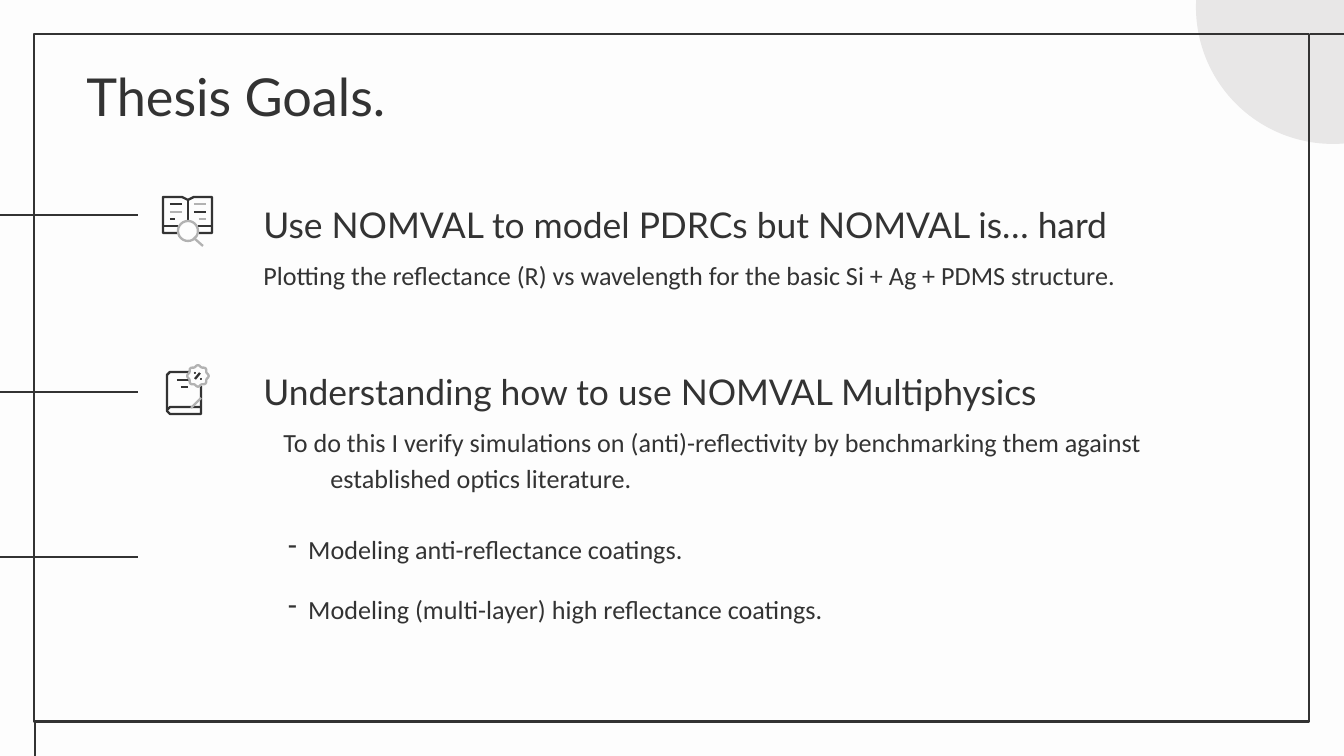
from math import cos, pi, sin

from lxml.etree import SubElement
from pptx import Presentation
from pptx.dml.color import RGBColor
from pptx.enum.shapes import MSO_CONNECTOR, MSO_SHAPE
from pptx.enum.text import MSO_ANCHOR, MSO_AUTO_SIZE, PP_ALIGN
from pptx.oxml.ns import qn
from pptx.util import Emu, Inches, Pt

EMU_PER_PX = Inches(10) / 1344
FINE = 10
INK, GREY, PALE, PAPER = "333333", "B2B2B2", "E8E7E7", "FDFDFD"
RULE, STROKE = 1.5, 1.25


def px(length):
    """Turn pixels into EMU."""
    return Emu(round(length * EMU_PER_PX))


def paint(target, color):
    """Give a fill a solid colour."""
    target.solid()
    target.fore_color.rgb = RGBColor.from_string(color)


def style_shape(shape, fill=None, line=None, width=STROKE):
    """Set a shape's fill and outline and take off its shadow."""
    shape.shadow.inherit = False
    if fill:
        paint(shape.fill, fill)
    else:
        shape.fill.background()
    if line:
        paint(shape.line.fill, line)
        shape.line.width = Pt(width)
    else:
        shape.line.fill.background()


def add_preset(page, kind, area, **style):
    """Add a styled preset shape."""
    shape = page.shapes.add_shape(kind, *map(px, area))
    style_shape(shape, **style)


def add_rule(page, ends, color=INK, width=RULE):
    """Add a straight line."""
    rule = page.shapes.add_connector(MSO_CONNECTOR.STRAIGHT, *map(px, ends))
    paint(rule.line.fill, color)
    rule.line.width = Pt(width)
    SubElement(rule._element.spPr, qn("a:effectLst"))


def add_outline(page, points, color=INK, close=False):
    """Add an unfilled outline through the points."""
    start, *rest = [(x * FINE, y * FINE) for x, y in points]
    builder = page.shapes.build_freeform(*start, scale=EMU_PER_PX / FINE)
    builder.add_line_segments(rest, close=close)
    style_shape(builder.convert_to_shape(), line=color)


def write_text(box, area, text, font, size, spacing=1.15, anchor=MSO_ANCHOR.TOP,
               margin=0, indent=0, bullet=None):
    """Place a box and write one formatted paragraph in it."""
    box.left, box.top, box.width, box.height = map(px, area)
    frame = box.text_frame
    frame.word_wrap = True
    frame.auto_size = MSO_AUTO_SIZE.NONE
    frame.vertical_anchor = anchor
    frame.margin_left = frame.margin_right = Inches(0.1)
    frame.margin_top = frame.margin_bottom = Inches(0.1)
    para = frame.paragraphs[0]
    para.text = text
    para.alignment = PP_ALIGN.LEFT
    para.line_spacing = spacing
    para.space_before = para.space_after = Pt(0)
    properties = para._p.get_or_add_pPr()
    properties.set("marL", str(px(margin)))
    properties.set("indent", str(px(indent)))
    if bullet:
        SubElement(properties, qn("a:buChar")).set("char", bullet)
    else:
        SubElement(properties, qn("a:buNone"))
    para.font.name = font
    para.font.size = Pt(size)
    para.font.bold = False
    paint(para.font.fill, INK)


def add_frame(page):
    """Add the corner disc, the border and the side rules."""
    add_preset(page, MSO_SHAPE.OVAL, (1196, -130, 274, 274), fill=PALE)
    add_preset(page, MSO_SHAPE.RECTANGLE, (34, 34, 1275, 688), line=INK, width=RULE)
    add_rule(page, (1310, 34, 1344, 34))
    add_rule(page, (35, 723, 35, 756))
    for y in (215, 392, 557):
        add_rule(page, (0, y, 138, y))


def add_book_icon(page):
    """Draw an open book under a magnifying glass."""
    add_outline(page, [(177, 233), (163, 233), (163, 197), (182, 197), (188, 200),
                       (194, 197), (212, 197), (212, 233), (199, 233)])
    add_rule(page, (188, 200, 188, 221), width=STROKE)
    for left, right in ((163, 178), (198, 212)):
        add_rule(page, (left, 226, right, 226), width=STROKE)
    text_lines = ((204, 170, 182, INK), (212, 170, 182, GREY), (219, 170, 175, INK),
                  (204, 194, 206, GREY), (212, 194, 206, INK), (219, 199, 206, GREY))
    for y, left, right, color in text_lines:
        add_rule(page, (left, y, right, y), color, STROKE)
    add_preset(page, MSO_SHAPE.OVAL, (178, 221, 20, 20), line=GREY)
    add_rule(page, (195, 239, 203, 246), GREY, STROKE)


def add_notebook_icon(page):
    """Draw a notebook with a percent badge."""
    add_outline(page, [(190, 372), (170, 372), (167, 375), (167, 411), (170, 414),
                       (201, 414), (201, 386)])
    add_outline(page, [(167, 410), (170, 407), (201, 407)])
    add_rule(page, (177, 380, 190, 380), width=STROKE)
    add_rule(page, (181, 387, 188, 387), width=STROKE)
    add_rule(page, (191, 408, 201, 398), GREY, STROKE)
    badge = []
    for step in range(64):
        angle = step * pi / 32
        radius = 10 + 0.8 * cos(8 * angle)
        badge.append((198 + radius * cos(angle), 376 + radius * sin(angle)))
    add_outline(page, badge, GREY, close=True)
    add_rule(page, (195, 379, 200, 373), width=STROKE)
    for x, y in ((194, 372), (200, 378)):
        add_preset(page, MSO_SHAPE.OVAL, (x, y, 2, 2), fill=INK)


def main():
    """Build the thesis goals slide."""
    deck = Presentation()
    deck.slide_width, deck.slide_height = px(1344), px(756)
    page = deck.slides.add_slide(deck.slide_layouts.get_by_name("Comparison"))
    paint(page.background.fill, PAPER)
    add_frame(page)
    add_book_icon(page)
    add_notebook_icon(page)

    write_text(page.shapes.title, (73, 51, 1133, 85), "Thesis Goals.", "Lato", 28, spacing=1)
    first_head, first_body, second_head, second_body = list(page.placeholders)[1:]
    heading = {"font": "Lato", "size": 19, "anchor": MSO_ANCHOR.BOTTOM}
    body = {"font": "Calibri", "size": 14}
    write_text(first_head, (250, 181, 1024, 78),
               "Use NOMVAL to model PDRCs but NOMVAL is… hard", **heading)
    write_text(first_body, (250, 241, 972, 106),
               "Plotting the reflectance (R) vs wavelength for the basic Si + Ag + PDMS structure.",
               **body)
    write_text(second_head, (250, 348, 972, 78),
               "Understanding how to use NOMVAL Multiphysics", **heading)
    write_text(second_body, (250, 408, 972, 78),
               "To do this I verify simulations on (anti)-reflectivity by benchmarking them "
               "against established optics literature.", margin=67, indent=-47, **body)
    tasks = ((515, 589, "Modeling anti-reflectance coatings."),
             (575, 723, "Modeling (multi-layer) high reflectance coatings."))
    for top, width, text in tasks:
        area = (254, top, width, 78)
        box = page.shapes.add_textbox(*map(px, area))
        write_text(box, area, text, margin=41, indent=-20, bullet="-", **body)
    deck.save("out.pptx")


if __name__ == "__main__":
    main()
